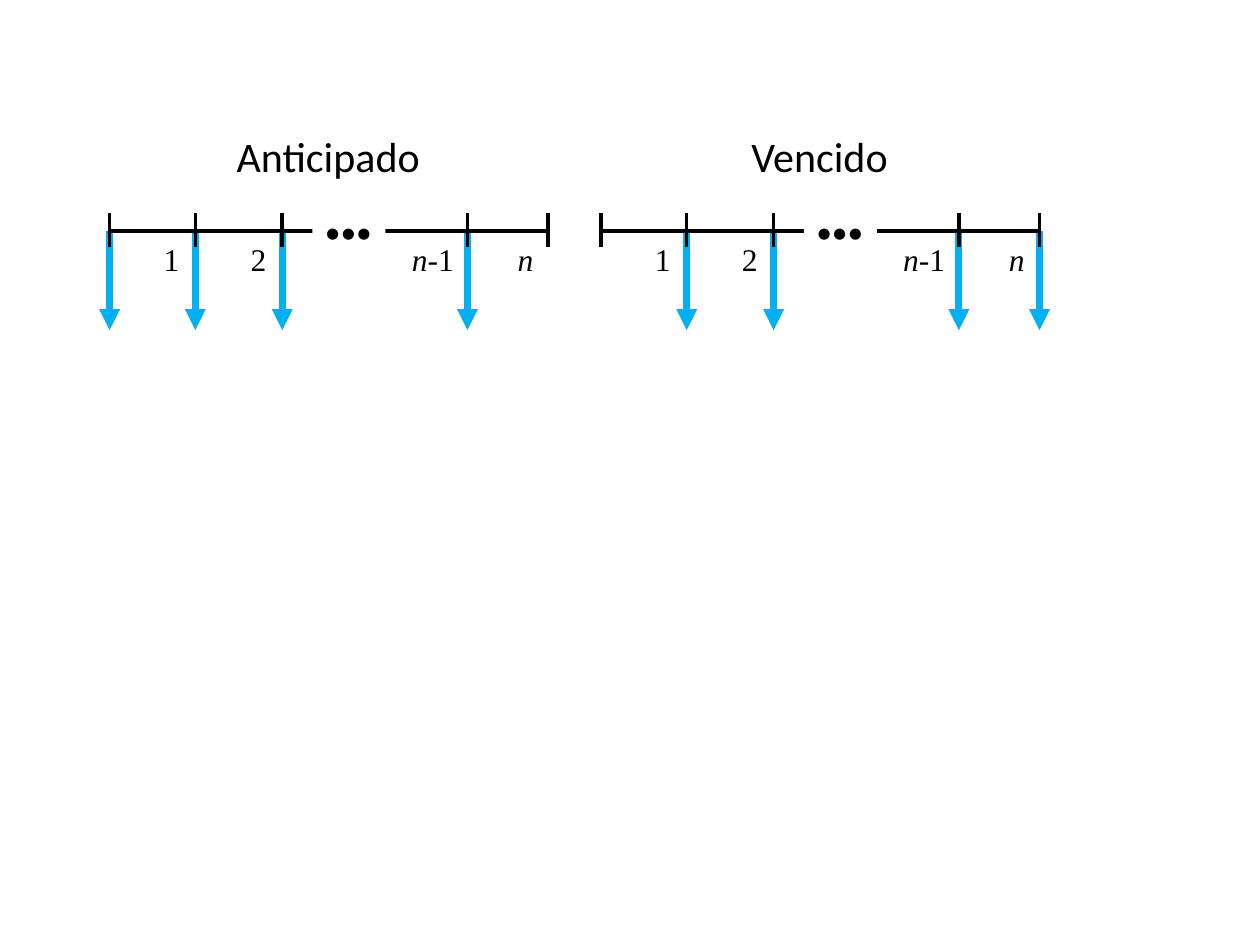
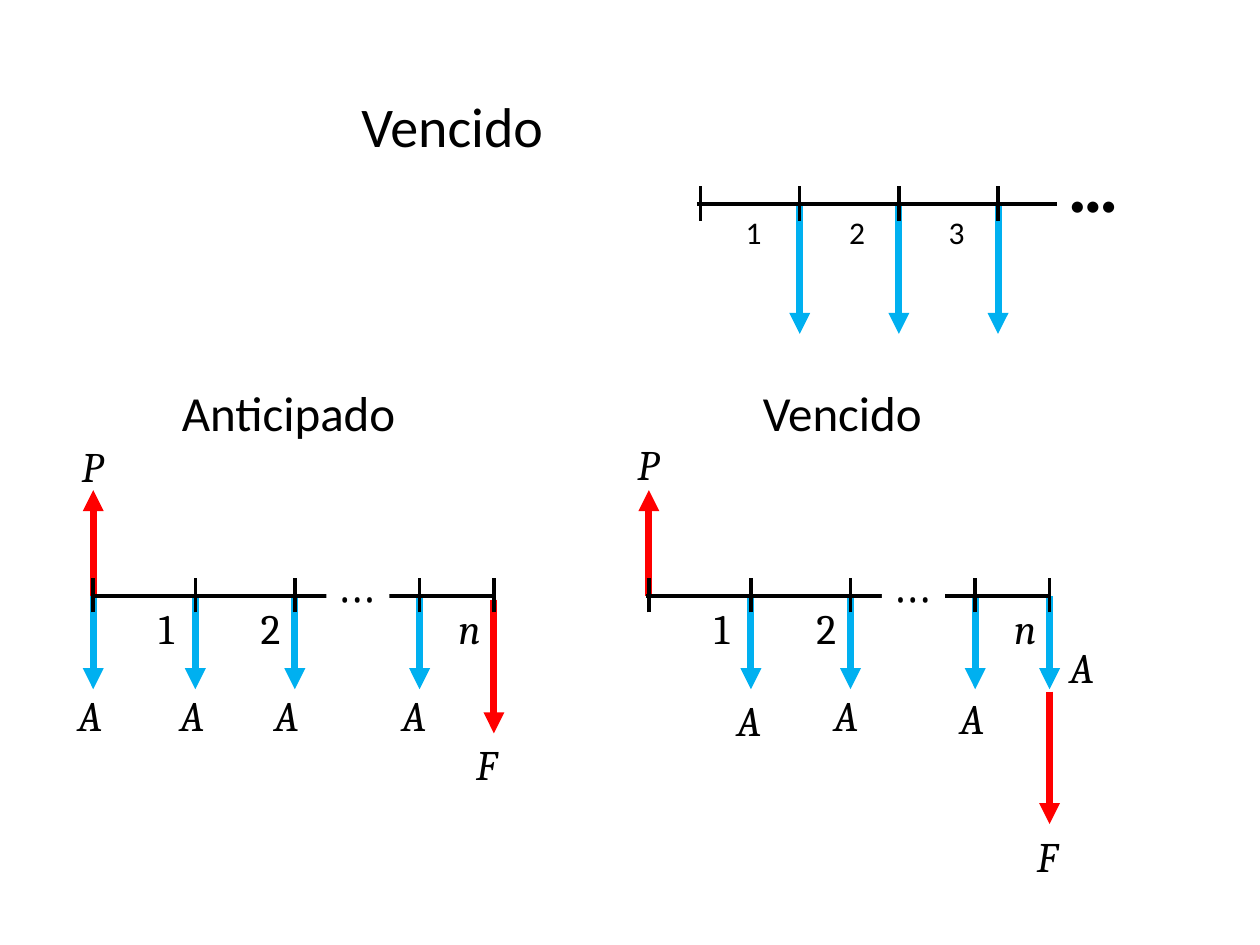
"""Builds two slides of cash-flow timelines, on a grid of 100 columns by 75 rows."""
import pptx
import pptx.util
import pptx.dml.color
import pptx.enum.shapes
import pptx.enum.text
import pptx.oxml.ns
import lxml.etree

HUES = {"ink": "000000", "pay": "00B0F0", "sum": "FF0000", "back": "FFFFFF"}
FONTS = {"head": "Calibri", "math": "Cambria", "roman": "Times New Roman"}
DOTS = "•••"
BOX = {18: 4, 16: 3.7, 24: 5, 28: 5.7, 32: 6.4}

deck = pptx.Presentation()
deck.slide_width = pptx.util.Inches(10)
deck.slide_height = pptx.util.Inches(7.5)
unit = deck.slide_width / 100


def draw(slide, start, end, hue="ink", width=2.0, arrow=False):
    points = [round(v * unit) for v in (*start, *end)]
    line = slide.shapes.add_connector(pptx.enum.shapes.MSO_CONNECTOR.STRAIGHT, *points)
    line.line.color.rgb = pptx.dml.color.RGBColor.from_string(HUES[hue])
    line.line.width = pptx.util.Pt(width)
    if arrow:
        stroke = line.line._get_or_add_ln()
        lxml.etree.SubElement(stroke, pptx.oxml.ns.qn("a:tailEnd"), type="triangle")
    props = line._element.spPr
    lxml.etree.SubElement(props, pptx.oxml.ns.qn("a:effectLst"))


def write(slide, x, y, wide, text, size, font, center=False):
    spot = [round(v * unit) for v in (x, y, wide, BOX[size])]
    box = slide.shapes.add_textbox(*spot)
    frame = box.text_frame
    frame.word_wrap = center
    frame.auto_size = pptx.enum.text.MSO_AUTO_SIZE.SHAPE_TO_FIT_TEXT
    if text == DOTS:
        box.fill.solid()
        box.fill.fore_color.rgb = pptx.dml.color.RGBColor.from_string(HUES["back"])
    para = frame.paragraphs[0]
    if center:
        para.alignment = pptx.enum.text.PP_ALIGN.CENTER
    for part in text.split("|"):
        run = para.add_run()
        run.text = part
        run.font.size = pptx.util.Pt(size)
        run.font.name = FONTS[font]
        run.font.italic = part in ("n", "P", "F", "A")
        run.font.color.rgb = pptx.dml.color.RGBColor.from_string(HUES["ink"])


blank = deck.slide_layouts[6]

pair = deck.slides.add_slide(blank)
ticks = (0, 6.8, 13.7, 28.4, 34.8)
marks = ((3.3, 3.3, "1"), (10.2, 3.3, "2"), (23, 5.4, "n|-1"), (31.4, 3.4, "n"))
for left, head, paid in ((8.7, "Anticipado", ticks[:4]), (47.7, "Vencido", ticks[1:])):
    for tick in paid:
        draw(pair, (left + tick, 18.3), (left + tick, 26.2), "pay", 4, True)
    draw(pair, (left, 18.3), (left + 34.9, 18.3), width=2.25)
    for tick in ticks:
        draw(pair, (left + tick, 19.6), (left + tick, 16.9))
    for shift, wide, text in marks:
        write(pair, left + shift, 18.6, wide, text, 18, "roman")
    write(pair, left + 16.1, 16.3, 5.8, DOTS, 18, "head")
    write(pair, left - 0.1, 9.9, 34.9, head, 24, "head", True)

full = deck.slides.add_slide(blank)
write(full, 18.5, 6.8, 34.8, "Vencido", 32, "head", True)
steps = [55.6 + 7.87 * i for i in range(4)]
for step in steps[1:]:
    draw(full, (step, 16.2), (step, 26.5), "pay", 4, True)
draw(full, (55.3, 16.2), (85.6, 16.2), width=2.25)
for step in steps:
    draw(full, (step, 17.5), (step, 14.8))
for i, x in enumerate((58.2, 66.4, 74.3)):
    write(full, x, 16.4, 3.3, str(i + 1), 18, "head")
write(full, 83.9, 14.2, 5.8, DOTS, 18, "head")

ticks = (0, 8.1, 16, 25.9, 31.8)
plans = (
    {"left": 7.4, "head": ("Anticipado", 10.4, 25), "paid": ticks[:4], "fall": (47.6, 58.2),
     "P": [(-1.9, 34.5)], "F": [(29.4, 58.1)],
     "A": [(-2.2, 54.2), (5.9, 54.2), (13.4, 54.2), (23.5, 54.2)]},
    {"left": 51.5, "head": ("Vencido", 51, 31.7), "paid": ticks[1:], "fall": (54.9, 65.4),
     "P": [(-1.9, 34.3)], "F": [(29.8, 65.4)],
     "A": [(6, 54.6), (13.7, 54.2), (23.7, 54.5), (32.4, 50.4)]},
)
for plan in plans:
    left = plan["left"]
    head, x, wide = plan["head"]
    write(full, x, 29.9, wide, head, 28, "head", True)
    draw(full, (left, 47.3), (left, 38.9), "sum", 4, True)
    top, low = plan["fall"]
    draw(full, (left + ticks[-1], top), (left + ticks[-1], low), "sum", 4, True)
    for tick in plan["paid"]:
        draw(full, (left + tick, 47.3), (left + tick, 54.7), "pay", 4, True)
    draw(full, (left - 0.2, 47.3), (left + 31.8, 47.3), width=2.25)
    for tick in ticks:
        draw(full, (left + tick, 48.6), (left + tick, 45.9))
    write(full, left + 18.5, 45.6, 5, DOTS, 16, "math")
    for shift, text in ((4.2, "1"), (12.3, "2"), (28, "n")):
        write(full, left + shift, 47.3, 3.9, text, 24, "math")
    for text, wide in (("P", 3.9), ("F", 3.8), ("A", 4.1)):
        for shift, y in plan[text]:
            write(full, left + shift, y, wide, text, 24, "math")

deck.save("out.pptx")
